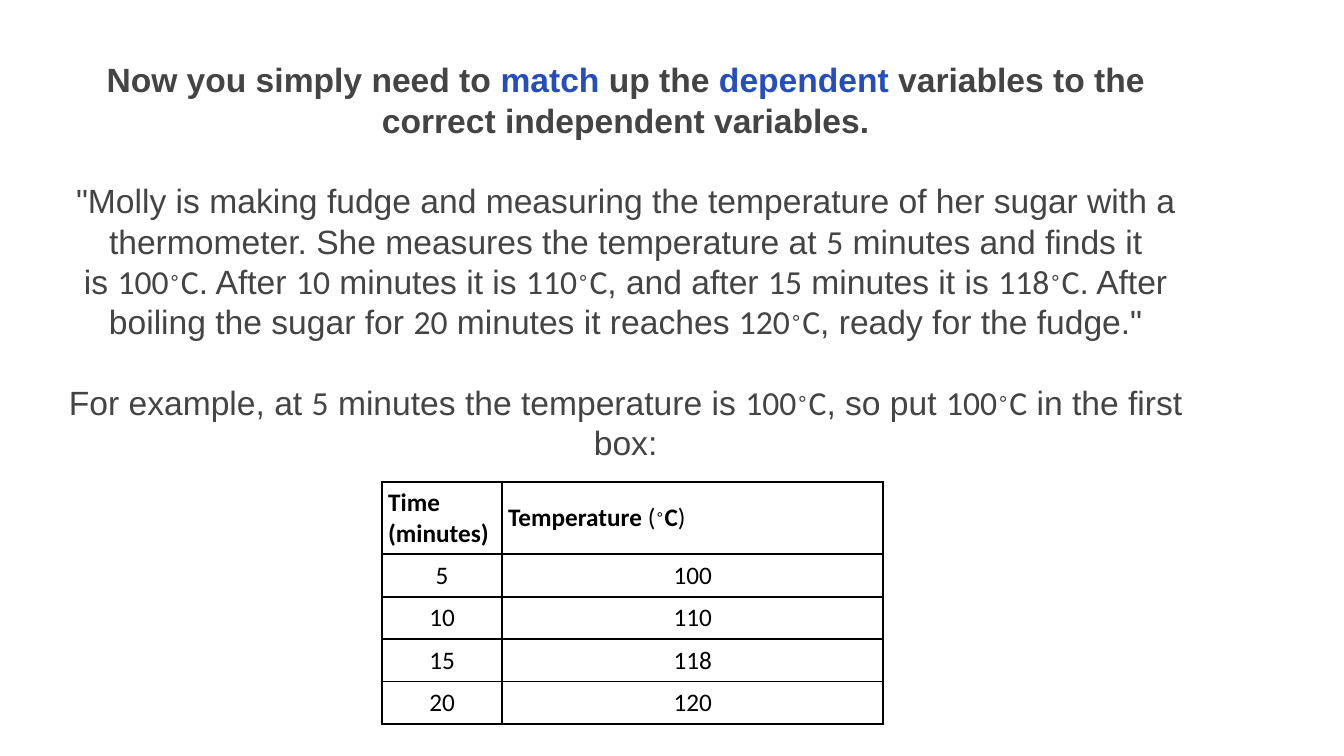
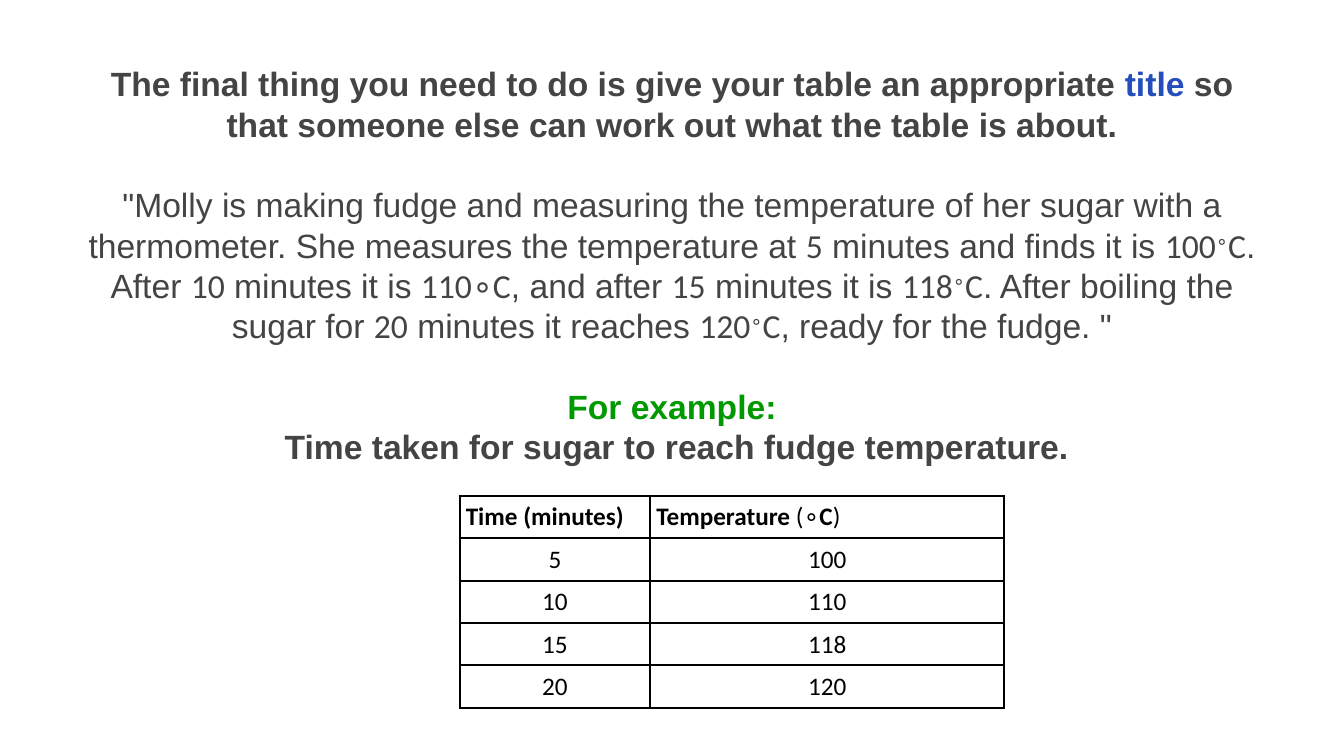
from lxml.etree import SubElement
from pptx import Presentation
from pptx.dml.color import RGBColor
from pptx.enum.text import MSO_ANCHOR, MSO_AUTO_SIZE, PP_ALIGN
from pptx.oxml.ns import qn
from pptx.util import Inches, Pt

COLORS = {
    "body": "444444",
    "key": "254DBC",
    "example": "009900",
    "table": "000000",
    "cell": "FFFFFF",
}
HARD_SPACE_MARK = "~"
LINE_PITCH = 28.8
BODY_SIZE = 24
TABLE_SIZE = 18
CELL_MARGIN = 0.06
ROW_HEIGHT = 0.42

STYLES = {
    "plain": {"font": "Arial"},
    "strong": {"font": "Arial", "bold": True},
    "key": {"font": "Arial", "bold": True, "color": "key"},
    "example": {"font": "Arial", "bold": True, "color": "example"},
    "number": {"font": "Calibri"},
    "raised": {"font": "Calibri", "raised": True},
    "cell": {"font": "Calibri", "color": "table"},
    "cell strong": {"font": "Calibri", "color": "table", "bold": True},
    "cell raised": {"font": "Calibri", "color": "table", "raised": True},
}


def degrees(value):
    return [("number", value), ("raised", "∘"), ("number", "C")]


def story(second_reading, ending):
    return [
        ("plain", "\"Molly is making fudge and measuring the temperature of her sugar "
                  "with a thermometer. She measures the temperature at~"),
        ("number", "5"), ("plain", "~minutes and finds it is~"), *degrees("100"),
        ("plain", ". After~"), ("number", "10"), ("plain", "~minutes it is~"),
        *second_reading,
        ("plain", ", and after~"), ("number", "15"), ("plain", "~minutes it is~"),
        *degrees("118"),
        ("plain", ". After boiling the sugar for~"), ("number", "20"),
        ("plain", "~minutes it reaches~"), *degrees("120"),
        ("plain", ending),
    ]


READINGS = [("5", "100"), ("10", "110"), ("15", "118"), ("20", "120")]

SLIDES = [
    {
        "text_box": (0.53, 0.54, 11.35, 4.14),
        "blocks": [
            [[("strong", "Now you simply need to~"), ("key", "match"),
              ("strong", "~up the~"), ("key", "dependent"),
              ("strong", "~variables to the correct~independent~variables.")]],
            [story(degrees("110"), ", ready for the fudge.\"")],
            [[("plain", "For example, at~"), ("number", "5"),
              ("plain", "~minutes the temperature is~"), *degrees("100"),
              ("plain", ", so put~"), *degrees("100"),
              ("plain", "~in the first box:")]],
        ],
        "table_corner": (3.79, 4.78),
        "columns": (1.19, 3.78),
        "header_height": 0.72,
        "unit": [("cell", "~("), ("cell raised", "∘")],
    },
    {
        "text_box": (0.65, 0.58, 12.03, 4.14),
        "blocks": [
            [[("strong", "The final thing you need to do is give your table an appropriate~"),
              ("key", "title"),
              ("strong", "~so that someone else can work out what the table is about.")]],
            [story([("number", "110∘C")], ", ready for the fudge. \"")],
            [[("example", "For example:")],
             [("plain", "~"),
              ("strong", "Time taken for sugar to reach fudge temperature.")]],
        ],
        "table_corner": (4.56, 4.92),
        "columns": (1.89, 3.51),
        "header_height": ROW_HEIGHT,
        "unit": [("cell", "~(∘")],
    },
]


def rgb(name):
    return RGBColor.from_string(COLORS[name])


def add_runs(paragraph, runs, size):
    for style_name, text in runs:
        style = STYLES[style_name]
        run = paragraph.add_run()
        run.text = text.replace(HARD_SPACE_MARK, chr(160))
        run.font.name = style["font"]
        run.font.size = Pt(size)
        run.font.bold = style.get("bold", False)
        run.font.color.rgb = rgb(style.get("color", "body"))
        if style.get("raised"):
            run._r.get_or_add_rPr().set("baseline", "30000")


def add_explanation(slide, box, blocks):
    frame = slide.shapes.add_textbox(*map(Inches, box)).text_frame
    frame.word_wrap = True
    frame.auto_size = MSO_AUTO_SIZE.SHAPE_TO_FIT_TEXT
    paragraph = None
    for block in blocks:
        for position, runs in enumerate(block):
            is_first = paragraph is None
            paragraph = frame.paragraphs[0] if is_first else frame.add_paragraph()
            paragraph.alignment = PP_ALIGN.CENTER
            paragraph.line_spacing = Pt(LINE_PITCH)
            if position == 0 and not is_first:
                paragraph.space_before = Pt(LINE_PITCH)
            add_runs(paragraph, runs, BODY_SIZE)


def add_borders(cell):
    properties = cell._tc.get_or_add_tcPr()
    for side in ("lnL", "lnR", "lnT", "lnB"):
        line = SubElement(properties, qn(f"a:{side}"), w=str(Pt(1.5)))
        fill = SubElement(line, qn("a:solidFill"))
        SubElement(fill, qn("a:srgbClr"), val=COLORS["table"])


def fill_cell(cell, runs, alignment):
    add_borders(cell)
    cell.fill.solid()
    cell.fill.fore_color.rgb = rgb("cell")
    cell.vertical_anchor = MSO_ANCHOR.MIDDLE
    cell.margin_left = cell.margin_right = Inches(CELL_MARGIN)
    cell.margin_top = cell.margin_bottom = Inches(CELL_MARGIN)
    paragraph = cell.text_frame.paragraphs[0]
    paragraph.alignment = alignment
    add_runs(paragraph, runs, TABLE_SIZE)


def add_readings(slide, corner, columns, header_height, unit):
    header = [
        [("cell strong", "Time (minutes)")],
        [("cell strong", "Temperature"), *unit, ("cell strong", "C"), ("cell", ")")],
    ]
    rows = [header] + [[[("cell", value)] for value in pair] for pair in READINGS]
    heights = [header_height] + [ROW_HEIGHT] * len(READINGS)
    size = (sum(columns), sum(heights))
    table = slide.shapes.add_table(
        len(rows), len(columns), *map(Inches, corner + size)).table
    table.first_row = False
    table.horz_banding = False
    for column, width in zip(table.columns, columns):
        column.width = Inches(width)
    for row_index, (row, height) in enumerate(zip(rows, heights)):
        table.rows[row_index].height = Inches(height)
        alignment = PP_ALIGN.CENTER if row_index else PP_ALIGN.LEFT
        for column_index, runs in enumerate(row):
            fill_cell(table.cell(row_index, column_index), runs, alignment)


def main():
    presentation = Presentation()
    presentation.slide_width = Inches(13.33)
    presentation.slide_height = Inches(7.5)
    for content in SLIDES:
        slide = presentation.slides.add_slide(presentation.slide_layouts[6])
        add_explanation(slide, content["text_box"], content["blocks"])
        add_readings(slide, content["table_corner"], content["columns"],
                     content["header_height"], content["unit"])
    presentation.save("out.pptx")


if __name__ == "__main__":
    main()
